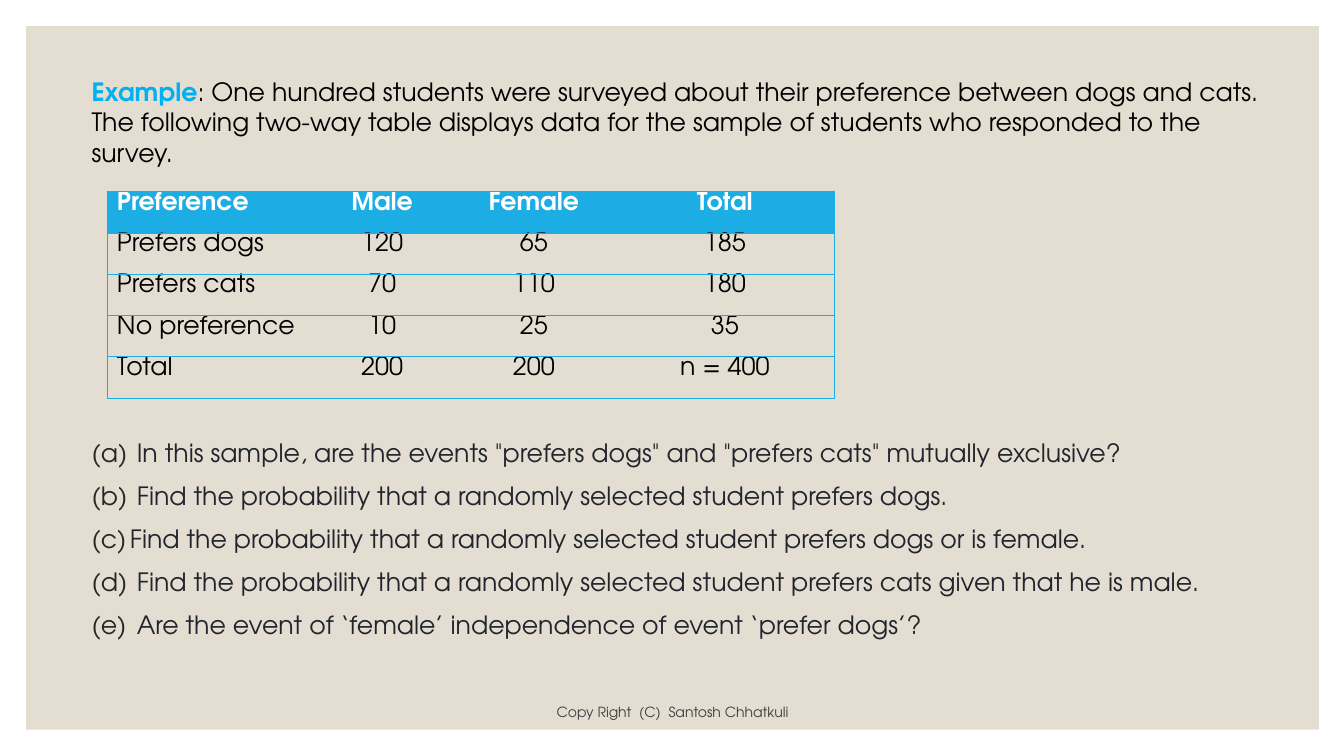
import pptx
import pptx.dml.color
import pptx.enum.shapes
import pptx.enum.text
import pptx.oxml.ns
import pptx.util
from lxml import etree

Inches = pptx.util.Inches
ALIGN = pptx.enum.text.PP_ALIGN
ANCHOR = pptx.enum.text.MSO_ANCHOR


def color(value):
    return pptx.dml.color.RGBColor.from_string(value)


def add_element(parent, tag, **attributes):
    return etree.SubElement(parent, pptx.oxml.ns.qn(tag), attributes)


class SlideBuilder:
    font = "TeX Gyre Adventor"
    size = 18
    accent = "1CADE4"
    black = "000000"

    def __init__(self, slide):
        self.slide = slide

    def style(self, font, value, size=size, bold=False):
        font.name = self.font
        font.size = pptx.util.Pt(size)
        font.bold = bold
        font.color.rgb = color(value)

    def panel(self, left, top, width, height, fill):
        shape = self.slide.shapes.add_shape(
            pptx.enum.shapes.MSO_SHAPE.RECTANGLE,
            Inches(left), Inches(top), Inches(width), Inches(height))
        shape.shadow.inherit = False
        shape.fill.solid()
        shape.fill.fore_color.rgb = color(fill)
        shape.line.fill.background()

    def text_box(self, left, top, width, height, anchor=ANCHOR.TOP):
        box = self.slide.shapes.add_textbox(
            Inches(left), Inches(top), Inches(width), Inches(height))
        box.text_frame.word_wrap = True
        box.text_frame.vertical_anchor = anchor
        return box.text_frame

    def intro(self, text_frame, label, text):
        paragraph = text_frame.paragraphs[0]
        for words, value, bold in ((label, "00B0F0", True), (text, self.black, False)):
            run = paragraph.add_run()
            run.text = words
            self.style(run.font, value, bold=bold)

    def questions(self, text_frame, questions):
        text_frame.text = "\n".join(questions)
        for index, paragraph in enumerate(text_frame.paragraphs):
            if index:
                paragraph.space_before = pptx.util.Pt(9)
            properties = paragraph._p.get_or_add_pPr()
            properties.set("marL", str(Inches(0.38)))
            properties.set("indent", str(-Inches(0.38)))
            bullet_color = add_element(properties, "a:buClr")
            add_element(bullet_color, "a:srgbClr", val="262626")
            add_element(properties, "a:buFont", typeface=self.font)
            add_element(properties, "a:buAutoNum", type="alphaLcParenBoth")
            self.style(paragraph.runs[0].font, "21242C")

    def footer(self, text_frame, text):
        text_frame.text = text
        paragraph = text_frame.paragraphs[0]
        paragraph.alignment = ALIGN.CENTER
        self.style(paragraph.runs[0].font, "404040", size=10)

    def borders(self, cell, visible):
        properties = cell._tc.get_or_add_tcPr()
        for side in "LRTB":
            line = add_element(properties, f"a:ln{side}", w=str(pptx.util.Pt(0.5)))
            if side in visible:
                fill = add_element(line, "a:solidFill")
                add_element(fill, "a:srgbClr", val=self.accent)
            else:
                add_element(line, "a:noFill")

    def table(self, left, top, column_widths, row_height, rows):
        last_column = len(column_widths) - 1
        table = self.slide.shapes.add_table(
            len(rows), len(column_widths), Inches(left), Inches(top),
            Inches(sum(column_widths)), Inches(row_height * len(rows))).table
        table.horz_banding = False
        for column, width in zip(table.columns, column_widths):
            column.width = Inches(width)
        for row_index, values in enumerate(rows):
            table.rows[row_index].height = Inches(row_height)
            for column_index, value in enumerate(values):
                cell = table.cell(row_index, column_index)
                cell.margin_top = cell.margin_bottom = 0
                cell.text_frame.text = value
                paragraph = cell.text_frame.paragraphs[0]
                paragraph.alignment = ALIGN.CENTER if column_index else ALIGN.LEFT
                header = row_index == 0
                self.style(paragraph.runs[0].font,
                           "FFFFFF" if header else self.black, bold=header)
                visible = "TB"
                if column_index == 0:
                    visible += "L"
                if column_index == last_column:
                    visible += "R"
                self.borders(cell, visible)
                if header:
                    cell.fill.solid()
                    cell.fill.fore_color.rgb = color(self.accent)
                else:
                    cell.fill.background()


def main():
    presentation = pptx.Presentation()
    presentation.slide_width = Inches(13.33)
    presentation.slide_height = Inches(7.5)
    builder = SlideBuilder(presentation.slides.add_slide(presentation.slide_layouts[6]))

    builder.panel(0.26, 0.26, 12.82, 6.98, "E3DED1")
    builder.intro(
        builder.text_box(0.81, 0.71, 11.94, 1.05), "Example",
        ": One hundred students were surveyed about their preference between dogs "
        "and cats. The following two-way table displays data for the sample of "
        "students who responded to the survey.")
    builder.questions(builder.text_box(0.81, 4.29, 11.94, 2.3), [
        ' In this sample, are the events "prefers dogs" and "prefers cats" mutually exclusive?',
        " Find the probability that a randomly selected student prefers dogs.",
        "Find the probability that a randomly selected student prefers dogs or is female.",
        " Find the probability that a randomly selected student prefers cats given that he is male.",
        " Are the event of ‘female’ independence of event ‘prefer dogs’?",
    ])
    builder.footer(builder.text_box(3.82, 6.9, 5.7, 0.3, ANCHOR.BOTTOM),
                   "Copy Right  (C)  Santosh Chhatkuli")
    builder.table(1.06, 1.9, [2.03, 1.4, 1.61, 2.18], 0.41, [
        ["Preference", "Male", "Female", "Total"],
        ["Prefers dogs", "120", "65", "185"],
        ["Prefers cats", "70", "110", "180"],
        ["No preference", "10", "25", "35"],
        ["Total", "200", "200", "n = 400"],
    ])
    presentation.save("out.pptx")


if __name__ == "__main__":
    main()
